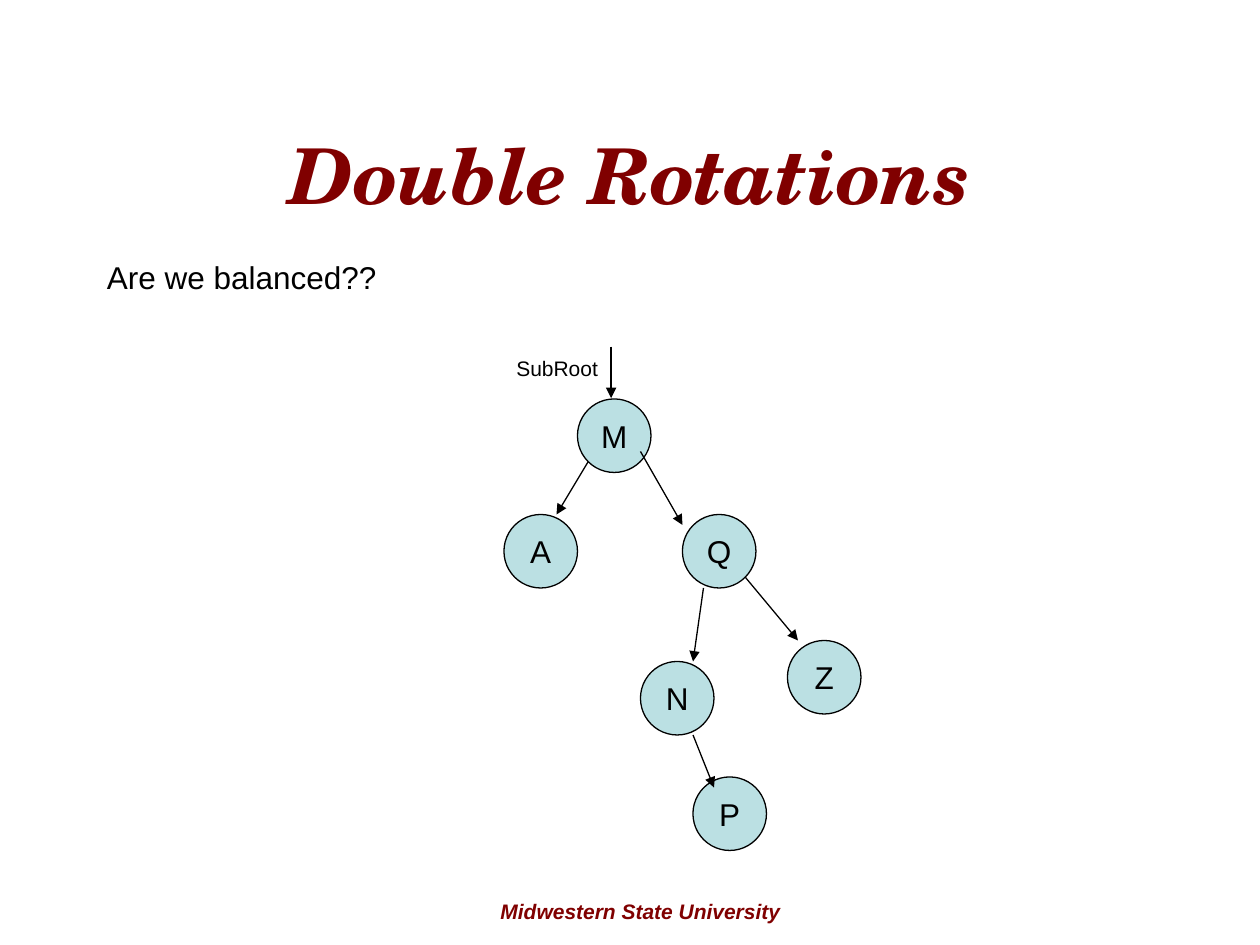
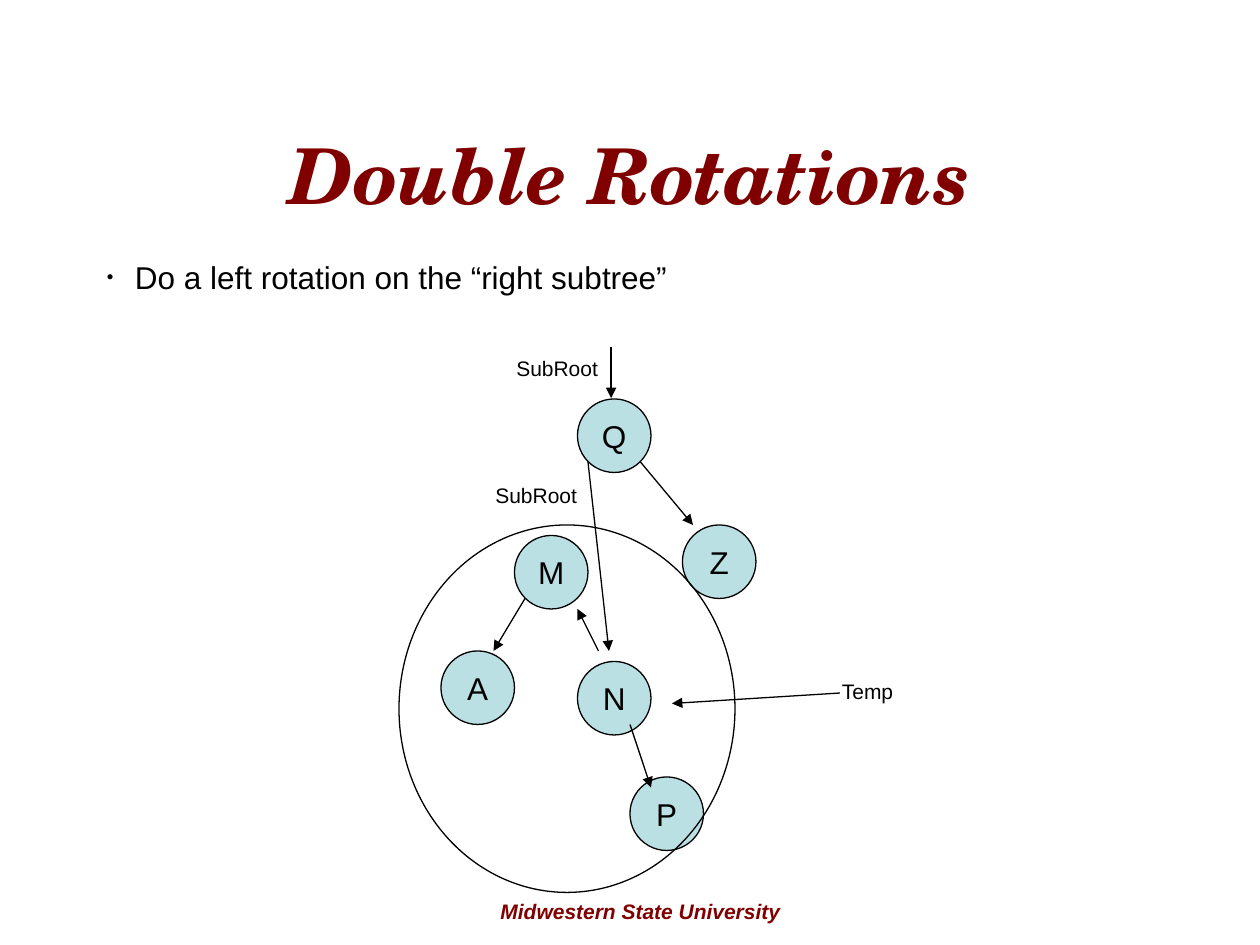
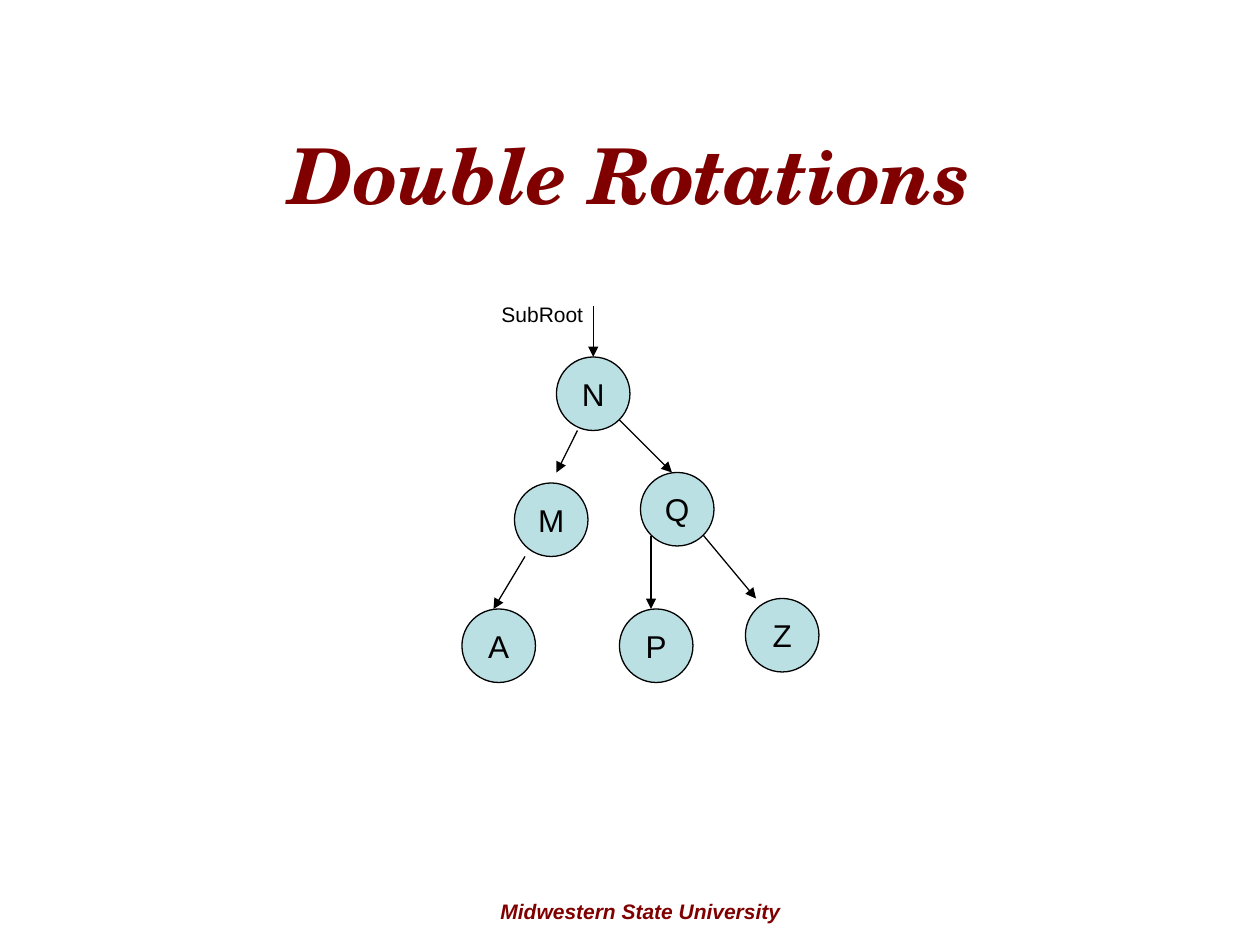
"""Build three slides that walk through a double rotation of a binary tree."""
from dataclasses import dataclass

from lxml.etree import SubElement
from pptx import Presentation
from pptx.dml.color import RGBColor
from pptx.enum.shapes import MSO_CONNECTOR as Connector
from pptx.enum.shapes import MSO_SHAPE as Preset
from pptx.enum.shapes import PP_PLACEHOLDER as Holder
from pptx.enum.text import MSO_ANCHOR as Anchor
from pptx.enum.text import MSO_AUTO_SIZE as AutoSize
from pptx.enum.text import PP_ALIGN as Align
from pptx.oxml.ns import qn
from pptx.util import Pt


@dataclass(frozen=True)
class Theme:
    maroon: RGBColor = RGBColor(0x80, 0x00, 0x00)
    ink: RGBColor = RGBColor(0x00, 0x00, 0x00)
    node_fill: RGBColor = RGBColor(0xBB, 0xE0, 0xE3)
    title_font: str = "TeX Gyre Schola"
    body_font: str = "Arial"
    title_size: float = 44
    body_size: float = 18
    label_size: float = 12
    line_width: float = 0.75
    node_size: float = 42
    bullet_indent: float = 16


THEME = Theme()
TITLE = "Double Rotations"
FOOTER = "Midwestern State University"


@dataclass(frozen=True)
class Node:
    key: str
    left: float
    top: float


@dataclass(frozen=True)
class Arrow:
    x1: float
    y1: float
    x2: float
    y2: float


@dataclass(frozen=True)
class Label:
    text: str
    left: float
    top: float
    width: float = 72


@dataclass(frozen=True)
class Loop:
    left: float
    top: float
    width: float
    height: float


@dataclass(frozen=True)
class Scene:
    nodes: tuple[Node, ...]
    arrows: tuple[Arrow, ...]
    labels: tuple[Label, ...]
    statement: str = ""
    bulleted: bool = False
    loops: tuple[Loop, ...] = ()


ROOT_ARROW = Arrow(349.2, 198, 349.2, 227.5)
ROOT_LABEL = Label("SubRoot", 288, 199.5)

SCENES = (
    Scene(
        statement="Are we balanced??",
        nodes=(
            Node("M", 330, 228), Node("A", 288, 294), Node("Q", 390, 294),
            Node("N", 366, 378), Node("Z", 450, 366), Node("P", 396, 444),
        ),
        arrows=(
            ROOT_ARROW, Arrow(336, 264, 318, 294), Arrow(366, 258, 390, 300),
            Arrow(402, 336, 396, 378), Arrow(426, 330, 456, 366), Arrow(396, 420, 408, 450),
        ),
        labels=(ROOT_LABEL,),
    ),
    Scene(
        statement="Do a left rotation on the “right subtree”",
        bulleted=True,
        nodes=(
            Node("Q", 330, 228), Node("M", 294, 306), Node("A", 252, 372),
            Node("N", 330, 378), Node("Z", 390, 300), Node("P", 360, 444),
        ),
        arrows=(
            ROOT_ARROW, Arrow(336, 264, 348, 372), Arrow(300, 342, 282, 372),
            Arrow(342, 372, 330, 348), Arrow(366, 264, 396, 300),
            Arrow(360, 414, 372, 450), Arrow(480, 396, 384, 402),
        ),
        loops=(Loop(228, 300, 192, 210),),
        labels=(ROOT_LABEL, Label("SubRoot", 276, 272), Label("Temp", 474, 384, 48)),
    ),
    Scene(
        nodes=(
            Node("N", 318, 204), Node("M", 294, 276), Node("Q", 366, 270),
            Node("A", 264, 348), Node("P", 354, 348), Node("Z", 426, 342),
        ),
        arrows=(
            Arrow(339, 175, 339, 204), Arrow(330, 246, 318, 270), Arrow(354, 240, 384, 270),
            Arrow(300, 318, 282, 348), Arrow(372, 306, 372, 348), Arrow(402, 306, 432, 342),
        ),
        labels=(Label("SubRoot", 279.5, 169),),
    ),
)


def style_font(para, size: float, color: RGBColor = THEME.ink,
               name: str = THEME.body_font, emphasis: bool = False) -> None:
    font = para.font
    font.name, font.size, font.color.rgb = name, Pt(size), color
    font.bold = font.italic = emphasis


def add_bullet(para) -> None:
    properties = para._p.get_or_add_pPr()
    properties.set("marL", str(Pt(THEME.bullet_indent)))
    properties.set("indent", str(-Pt(THEME.bullet_indent)))
    SubElement(properties, qn("a:buSzPct")).set("val", "60000")
    SubElement(properties, qn("a:buFont")).set("typeface", THEME.body_font)
    SubElement(properties, qn("a:buChar")).set("char", "•")


def add_text(page, text: str, left: float, top: float, width: float, height: float):
    box = page.shapes.add_textbox(Pt(left), Pt(top), Pt(width), Pt(height))
    box.text_frame.word_wrap = True
    box.text_frame.auto_size = AutoSize.SHAPE_TO_FIT_TEXT
    box.text_frame.text = text
    return box


def add_label(page, label: Label) -> None:
    box = add_text(page, label.text, label.left, label.top, label.width, 21.6)
    style_font(box.text_frame.paragraphs[0], THEME.label_size)


def add_statement(page, text: str, bulleted: bool) -> None:
    para = add_text(page, text, 54, 144, 618, 28.8).text_frame.paragraphs[0]
    if bulleted:
        add_bullet(para)
    style_font(para, THEME.body_size)


def add_ellipse(page, left: float, top: float, width: float, height: float):
    ellipse = page.shapes.add_shape(Preset.OVAL, Pt(left), Pt(top), Pt(width), Pt(height))
    ellipse.shadow.inherit = False
    ellipse.fill.background()
    ellipse.line.color.rgb = THEME.ink
    ellipse.line.width = Pt(THEME.line_width)
    return ellipse


def add_node(page, node: Node) -> None:
    circle = add_ellipse(page, node.left, node.top, THEME.node_size, THEME.node_size)
    circle.fill.solid()
    circle.fill.fore_color.rgb = THEME.node_fill
    frame = circle.text_frame
    frame.text = node.key
    frame.word_wrap = False
    frame.vertical_anchor = Anchor.MIDDLE
    frame.paragraphs[0].alignment = Align.CENTER
    style_font(frame.paragraphs[0], THEME.body_size)


def add_arrow(page, arrow: Arrow) -> None:
    line = page.shapes.add_connector(
        Connector.STRAIGHT, Pt(arrow.x1), Pt(arrow.y1), Pt(arrow.x2), Pt(arrow.y2))
    line.line.color.rgb = THEME.ink
    line.line.width = Pt(THEME.line_width)
    SubElement(line.line._get_or_add_ln(), qn("a:tailEnd")).set("type", "triangle")
    SubElement(line.element.spPr, qn("a:effectLst"))


def format_title(page) -> None:
    title = page.shapes.title
    title.left, title.top, title.width, title.height = Pt(36), Pt(54), Pt(648), Pt(90)
    title.text_frame.text = TITLE
    title.text_frame.vertical_anchor = Anchor.MIDDLE
    para = title.text_frame.paragraphs[0]
    para.alignment = Align.CENTER
    style_font(para, THEME.title_size, THEME.maroon, THEME.title_font, emphasis=True)


def move_footer_to_layout(page, layout) -> None:
    for holder in list(layout.placeholders):
        if holder.placeholder_format.type != Holder.TITLE:
            layout.shapes.element.remove(holder.element)
    box = add_text(page, FOOTER, 252, 510, 228, 21.6)
    para = box.text_frame.paragraphs[0]
    para.alignment = Align.CENTER
    style_font(para, THEME.label_size, THEME.maroon, emphasis=True)
    layout.shapes.element.append(box.element)


def draw_scene(page, scene: Scene) -> None:
    format_title(page)
    if scene.statement:
        add_statement(page, scene.statement, scene.bulleted)
    for node in scene.nodes:
        add_node(page, node)
    for arrow in scene.arrows:
        add_arrow(page, arrow)
    for loop in scene.loops:
        add_ellipse(page, loop.left, loop.top, loop.width, loop.height)
    for label in scene.labels:
        add_label(page, label)


def main() -> None:
    deck = Presentation()
    deck.slide_width, deck.slide_height = Pt(720), Pt(540)
    layout = deck.slide_layouts.get_by_name("Title Only")
    pages = [deck.slides.add_slide(layout) for _ in SCENES]
    move_footer_to_layout(pages[0], layout)
    for page, scene in zip(pages, SCENES):
        draw_scene(page, scene)
    deck.save("out.pptx")


if __name__ == "__main__":
    main()
